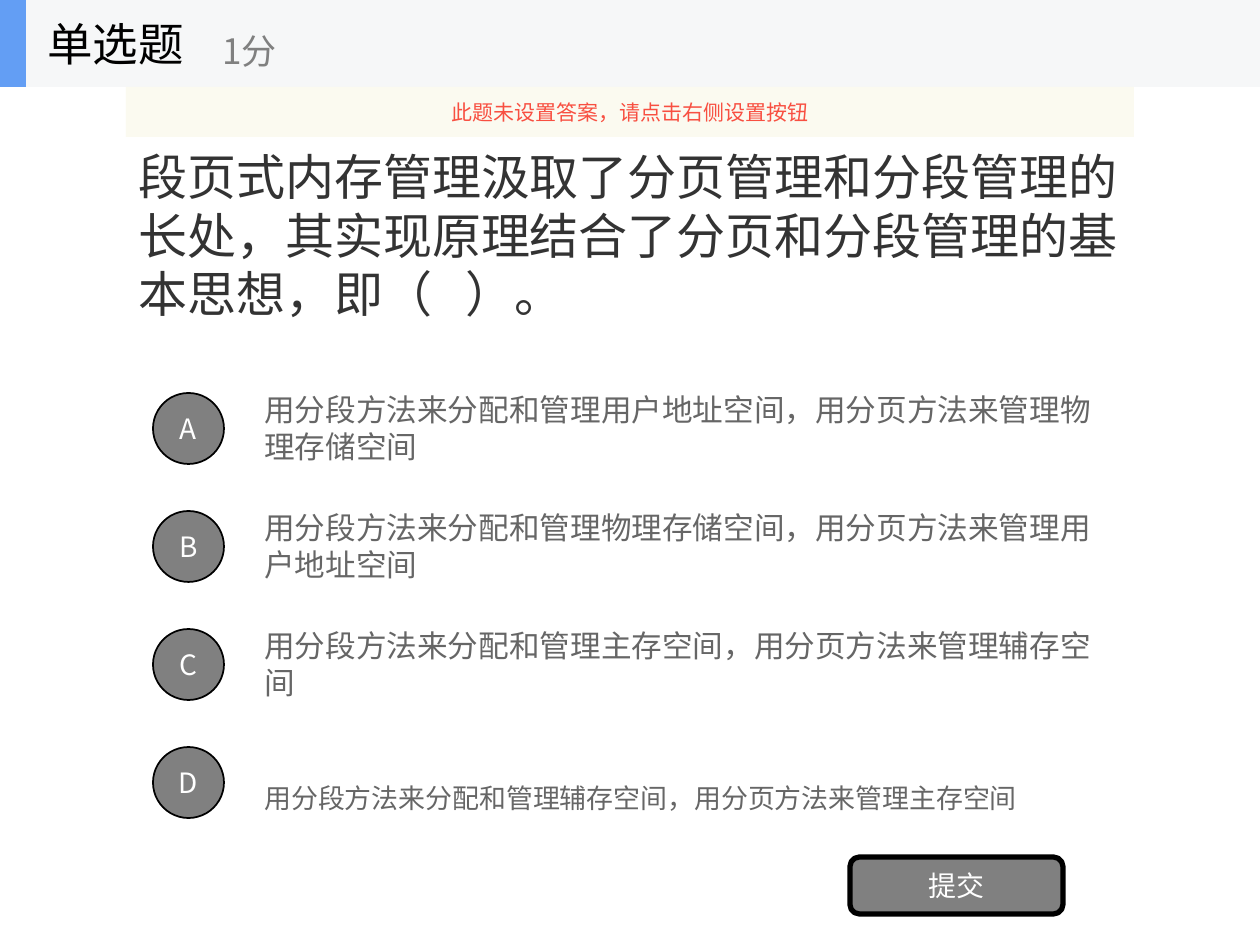
import lxml.etree
import pptx
import pptx.dml.color
import pptx.enum.shapes
import pptx.enum.text
import pptx.oxml.ns
import pptx.util

PX = 914400 / 126
COLORS = {
    "question": "333333", "option": "666666", "gray": "808080",
    "black": "000000", "white": "FFFFFF", "bar": "F6F7F8",
    "accent": "639EF4", "hint_fill": "FBFAEF", "hint": "F84F41",
}
LATIN, CJK = "Arial", "Noto Sans CJK SC"
SHAPE = pptx.enum.shapes.MSO_SHAPE
ALIGN = pptx.enum.text.PP_ALIGN
QUESTION = "段页式内存管理汲取了分页管理和分段管理的长处，其实现原理结合了分页和分段管理的基本思想，即（   ）。"
OPTIONS = [
    ("A", "用分段方法来分配和管理用户地址空间，用分页方法来管理物理存储空间", 17.5, 6),
    ("B", "用分段方法来分配和管理物理存储空间，用分页方法来管理用户地址空间", 17.5, 6),
    ("C", "用分段方法来分配和管理主存空间，用分页方法来管理辅存空间", 17.5, 6),
    ("D", "用分段方法来分配和管理辅存空间，用分页方法来管理主存空间", 15.4, 38),
]


def px(n):
    return pptx.util.Emu(round(n * PX))


def rgb(name):
    return pptx.dml.color.RGBColor.from_string(COLORS[name])


def write(sp, text, size, color, font=CJK, align=ALIGN.LEFT):
    tf = sp.text_frame
    tf.word_wrap = True
    tf.auto_size = pptx.enum.text.MSO_AUTO_SIZE.NONE
    tf.vertical_anchor = pptx.enum.text.MSO_ANCHOR.MIDDLE
    p = tf.paragraphs[0]
    p.text = text
    p.alignment = align
    p.font.name = font
    p.font.size = pptx.util.Pt(size)
    p.font.color.rgb = rgb(color)


def add_text(shapes, box, text, size, color, font=CJK):
    sp = shapes.add_textbox(*map(px, box))
    write(sp, text, size, color, font)
    return sp


def add_box(shapes, kind, box, fill, line_width=0):
    sp = shapes.add_shape(kind, *map(px, box))
    sp.shadow.inherit = False
    sp.fill.solid()
    sp.fill.fore_color.rgb = rgb(fill)
    if line_width:
        sp.line.color.rgb = rgb("black")
        sp.line.width = pptx.util.Pt(line_width)
    else:
        sp.line.fill.background()
    return sp


def add_question(s, x, y, w, h):
    title = s.shapes.title
    title.left, title.top, title.width, title.height = map(px, (x, y, w, h))
    write(title, QUESTION, 28, "question", LATIN)


def add_options(s, x, y, w, pitch):
    for i, (letter, text, size, inset) in enumerate(OPTIONS):
        top = y + i * pitch
        sp = add_text(s.shapes, (x + 126, top, w - 126, 88), text, size, "option", LATIN)
        sp.text_frame.margin_top = px(inset)
        badge = add_box(s.shapes, SHAPE.OVAL, (x + 27, top + 9, 71, 71), "gray", 1)
        write(badge, letter, 16, "white", align=ALIGN.CENTER)


def add_submit(s, x, y, w, h):
    button = add_box(s.shapes, SHAPE.ROUNDED_RECTANGLE, (x, y, w, h), "gray", 3)
    write(button, "提交", 16, "white", align=ALIGN.CENTER)


def add_header(s, x, y, w, h):
    shapes = s.shapes.add_group_shape().shapes
    add_box(shapes, SHAPE.RECTANGLE, (x, y, w, h), "bar")
    add_box(shapes, SHAPE.RECTANGLE, (x, y, 26, h), "accent")
    add_text(shapes, (x + 35, y, 262, h), "单选题", 26, "black")
    add_text(shapes, (x + 210, y + 15, 315, 71), "1分", 20, "gray")


def add_hint(s, x, y, w, h):
    hint = add_box(s.shapes, SHAPE.RECTANGLE, (x, y, w, h), "hint_fill")
    color = hint.fill._xPr.find(".//" + pptx.oxml.ns.qn("a:srgbClr"))
    lxml.etree.SubElement(color, pptx.oxml.ns.qn("a:alpha"), val="90000")
    write(hint, "此题未设置答案，请点击右侧设置按钮", 12, "hint", align=ALIGN.CENTER)


def main():
    prs = pptx.Presentation()
    prs.slide_width, prs.slide_height = px(1260), px(945)
    s = prs.slides.add_slide(prs.slide_layouts[5])
    add_question(s, 126, 87, 1008, 295)
    add_options(s, 126, 384, 1008, 118)
    add_submit(s, 850, 857, 213, 57)
    add_header(s, 0, 0, 1260, 87)
    add_hint(s, 126, 87, 1008, 50)
    prs.save("out.pptx")


if __name__ == "__main__":
    main()
